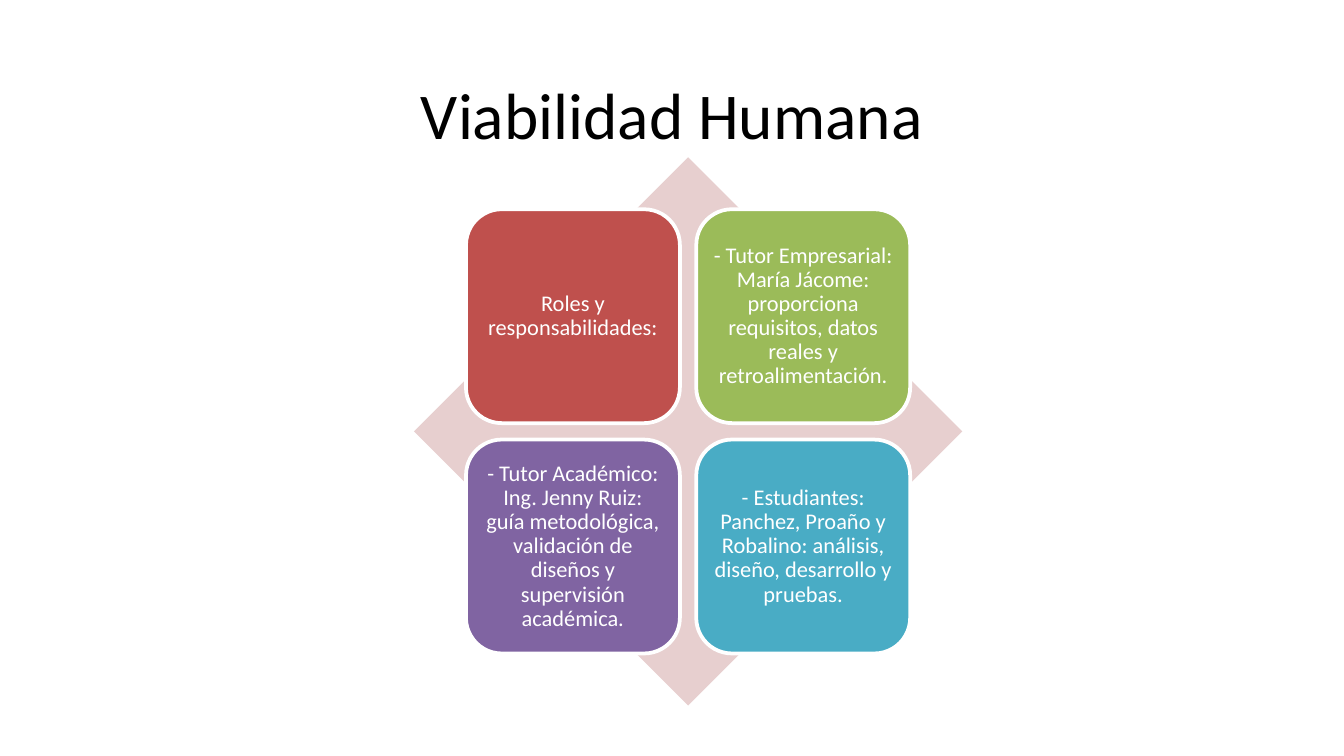
from typing import NamedTuple

from pptx import Presentation
from pptx.dml.color import RGBColor
from pptx.enum.shapes import MSO_SHAPE
from pptx.enum.text import MSO_ANCHOR, PP_ALIGN
from pptx.shapes.autoshape import Shape
from pptx.slide import Slide
from pptx.util import Inches, Pt

WHITE = "FFFFFF"
SLIDE_WIDTH = 10
SLIDE_HEIGHT = SLIDE_WIDTH * 9 / 16

# The cards are placed in proportion to the diamond
DIAMOND_LEFT, DIAMOND_TOP, DIAMOND_SIZE = 3.08, 1.17, 4.08
CARD_SIZE = 0.39 * DIAMOND_SIZE
CARD_PITCH = 0.42 * DIAMOND_SIZE
CARD_INSET = (DIAMOND_SIZE - CARD_SIZE - CARD_PITCH) / 2


class Card(NamedTuple):
    text: str
    fill: str


CARDS = [
    Card("Roles y responsabilidades:", "BF504D"),
    Card("- Tutor Empresarial: María Jácome: proporciona requisitos, "
         "datos reales y retroalimentación.", "9BBB59"),
    Card("- Tutor Académico: Ing. Jenny Ruiz: guía metodológica, "
         "validación de diseños y supervisión académica.", "8064A2"),
    Card("- Estudiantes: Panchez, Proaño y Robalino: análisis, diseño, "
         "desarrollo y pruebas.", "49ACC5"),
]


def color(value: str) -> RGBColor:
    return RGBColor.from_string(value)


def write_text(shape: Shape, text: str, *, size: float, font_color: str,
               margin_x: float = 0.05, line_spacing: float = 1.0) -> None:
    frame = shape.text_frame
    frame.word_wrap = True
    frame.vertical_anchor = MSO_ANCHOR.MIDDLE
    frame.margin_left = frame.margin_right = Inches(margin_x)
    frame.margin_top = frame.margin_bottom = Inches(0.05)
    paragraph = frame.paragraphs[0]
    paragraph.text = text
    paragraph.alignment = PP_ALIGN.CENTER
    paragraph.line_spacing = line_spacing
    paragraph.font.name = "Calibri"
    paragraph.font.size = Pt(size)
    paragraph.font.color.rgb = color(font_color)


def add_filled_shape(slide: Slide, kind: MSO_SHAPE, left: float, top: float,
                     size: float, fill: str) -> Shape:
    shape = slide.shapes.add_shape(
        kind, Inches(left), Inches(top), Inches(size), Inches(size))
    shape.shadow.inherit = False
    shape.fill.solid()
    shape.fill.fore_color.rgb = color(fill)
    shape.line.fill.background()
    return shape


def add_card(slide: Slide, card: Card, row: int, column: int) -> None:
    left = DIAMOND_LEFT + CARD_INSET + column * CARD_PITCH
    top = DIAMOND_TOP + CARD_INSET + row * CARD_PITCH
    shape = add_filled_shape(
        slide, MSO_SHAPE.ROUNDED_RECTANGLE, left, top, CARD_SIZE, card.fill)
    shape.adjustments[0] = 1 / 6
    shape.line.color.rgb = color(WHITE)
    shape.line.width = Pt(2)
    write_text(shape, card.text, size=12, font_color=WHITE, line_spacing=0.9)


def main() -> None:
    presentation = Presentation()
    presentation.slide_width = Inches(SLIDE_WIDTH)
    presentation.slide_height = Inches(SLIDE_HEIGHT)
    slide = presentation.slides.add_slide(presentation.slide_layouts[6])

    # Title
    title = slide.shapes.add_textbox(
        Inches(0.69), Inches(0.3), Inches(8.62), Inches(1.09))
    write_text(title, "Viabilidad Humana", size=35, font_color="000000",
               margin_x=0.1)

    # Diamond behind the matrix
    add_filled_shape(slide, MSO_SHAPE.DIAMOND, DIAMOND_LEFT, DIAMOND_TOP,
                     DIAMOND_SIZE, "E7CFCF")

    # Two by two matrix of roles
    for index, card in enumerate(CARDS):
        row, column = divmod(index, 2)
        add_card(slide, card, row, column)

    presentation.save("out.pptx")


if __name__ == "__main__":
    main()
